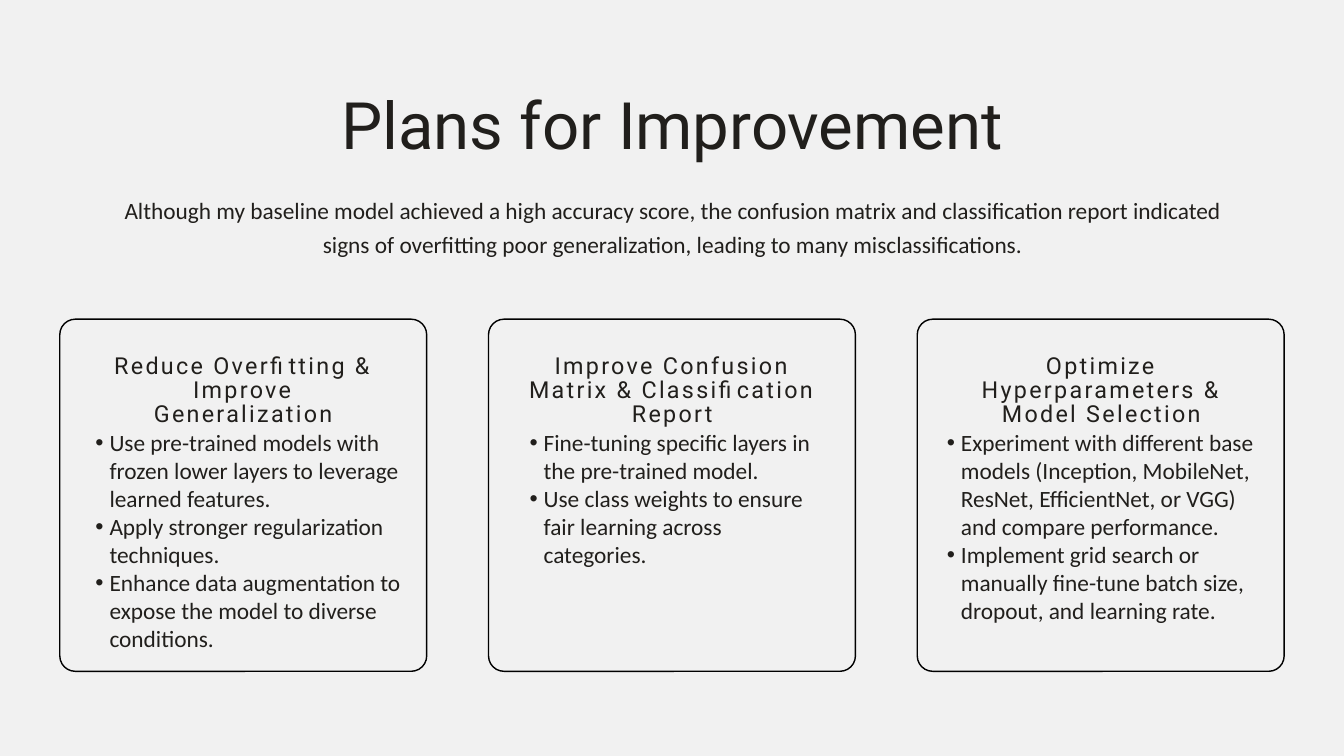
from lxml.etree import SubElement
from pptx import Presentation
from pptx.dml.color import RGBColor
from pptx.enum.shapes import MSO_SHAPE
from pptx.enum.text import MSO_ANCHOR, MSO_AUTO_SIZE, PP_ALIGN
from pptx.oxml.ns import qn
from pptx.util import Inches, Pt

# Content
TITLE = "Plans for Improvement"
INTRO = ("Although my baseline model achieved a high accuracy score, the confusion matrix "
         "and classification report indicated signs of overfitting poor generalization, "
         "leading to many misclassifications.")
# Each card: heading, heading (left, width), list (left, width), bullets
CARDS = [
    ("Reduce Overfitting & Improve Generalization", (1.63, 3.98), (1.21, 4.82), [
        "Use pre-trained models with frozen lower layers to leverage learned features.",
        "Apply stronger regularization techniques.",
        "Enhance data augmentation to expose the model to diverse conditions."]),
    ("Improve Confusion Matrix & Classification Report", (7.67, 4.67), (7.67, 4.66), [
        "Fine-tuning specific layers in the pre-trained model.",
        "Use class weights to ensure fair learning across categories."]),
    ("Optimize Hyperparameters & Model Selection", (14.11, 4.56), (13.88, 5.01), [
        "Experiment with different base models (Inception, MobileNet, ResNet, "
        "EfficientNet, or VGG) and compare performance.",
        "Implement grid search or manually fine-tune batch size, dropout, and learning rate."]),
]

# Style and grid
BACKGROUND, INK, OUTLINE = "F1F1F1", "211F1C", "000000"
CARD_LEFT, CARD_TOP, CARD_W, CARD_H, CARD_STEP = 0.89, 4.75, 5.46, 5.24, 6.38
CORNER = 0.23
TITLE_STYLE = {"name": "Roboto", "size": Pt(70), "bold": False}
HEADING_STYLE = {"name": "Roboto", "size": Pt(25)}
BODY_STYLE = {"name": "Calibri", "size": Pt(25)}
FRAME = {"word_wrap": True, "auto_size": MSO_AUTO_SIZE.NONE,
         "vertical_anchor": MSO_ANCHOR.TOP, "margin_left": 0, "margin_right": 0,
         "margin_top": 0, "margin_bottom": 0}


def color(hex_value):
    return RGBColor.from_string(hex_value)


def apply(target, values):
    for name, value in values.items():
        setattr(target, name, value)


def add_bullet(p):
    pPr = p._p.get_or_add_pPr()
    pPr.set("marL", str(Inches(0.42)))
    pPr.set("indent", str(-Inches(0.21)))
    SubElement(pPr, qn("a:buFont"), typeface="Arial")
    SubElement(pPr, qn("a:buChar"), char="•")


def write(sp, lines, style, spacing=None, bullets=False, tracking=0):
    tf = sp.text_frame
    apply(tf, FRAME)
    for i, line in enumerate(lines):
        p = tf.paragraphs[0] if i == 0 else tf.add_paragraph()
        p.alignment = PP_ALIGN.LEFT if bullets else PP_ALIGN.CENTER
        if spacing:
            p.line_spacing = Pt(spacing)
        if bullets:
            add_bullet(p)
        r = p.add_run()
        r.text = line
        apply(r.font, style)
        r.font.color.rgb = color(INK)
        if tracking:
            r._r.get_or_add_rPr().set("spc", str(round(tracking * 100)))


def add_text(s, box, lines, style, **options):
    write(s.shapes.add_textbox(*map(Inches, box)), lines, style, **options)


def add_card(s, left):
    box = (left, CARD_TOP, CARD_W, CARD_H)
    sp = s.shapes.add_shape(MSO_SHAPE.ROUNDED_RECTANGLE, *map(Inches, box))
    sp.adjustments[0] = CORNER / CARD_H
    sp.shadow.inherit = False
    sp.fill.solid()
    sp.fill.fore_color.rgb = color(BACKGROUND)
    sp.line.color.rgb = color(OUTLINE)
    sp.line.width = Pt(1.5)


def main():
    prs = Presentation()
    prs.slide_width, prs.slide_height = Inches(20), Inches(11.25)
    s = prs.slides.add_slide(prs.slide_layouts[5])
    s.background.fill.solid()
    s.background.fill.fore_color.rgb = color(BACKGROUND)

    # Title and introduction
    title = s.shapes.title
    apply(title, {"left": Inches(4.81), "top": Inches(1.29),
                  "width": Inches(10.39), "height": Inches(1.16)})
    write(title, [TITLE], TITLE_STYLE, spacing=80.8)
    add_text(s, (1.69, 2.82, 16.63, 1), [INTRO], BODY_STYLE, spacing=36.8)

    # Cards with heading and bullet list
    for i, (heading, (head_x, head_w), (list_x, list_w), bullets) in enumerate(CARDS):
        add_card(s, CARD_LEFT + i * CARD_STEP)
        add_text(s, (head_x, 5.3, head_w, 0.7), [heading], HEADING_STYLE,
                 spacing=25.2, tracking=2.5)
        add_text(s, (list_x, 6.37, list_w, 3.37), bullets, BODY_STYLE, bullets=True)

    prs.save("out.pptx")


if __name__ == "__main__":
    main()
